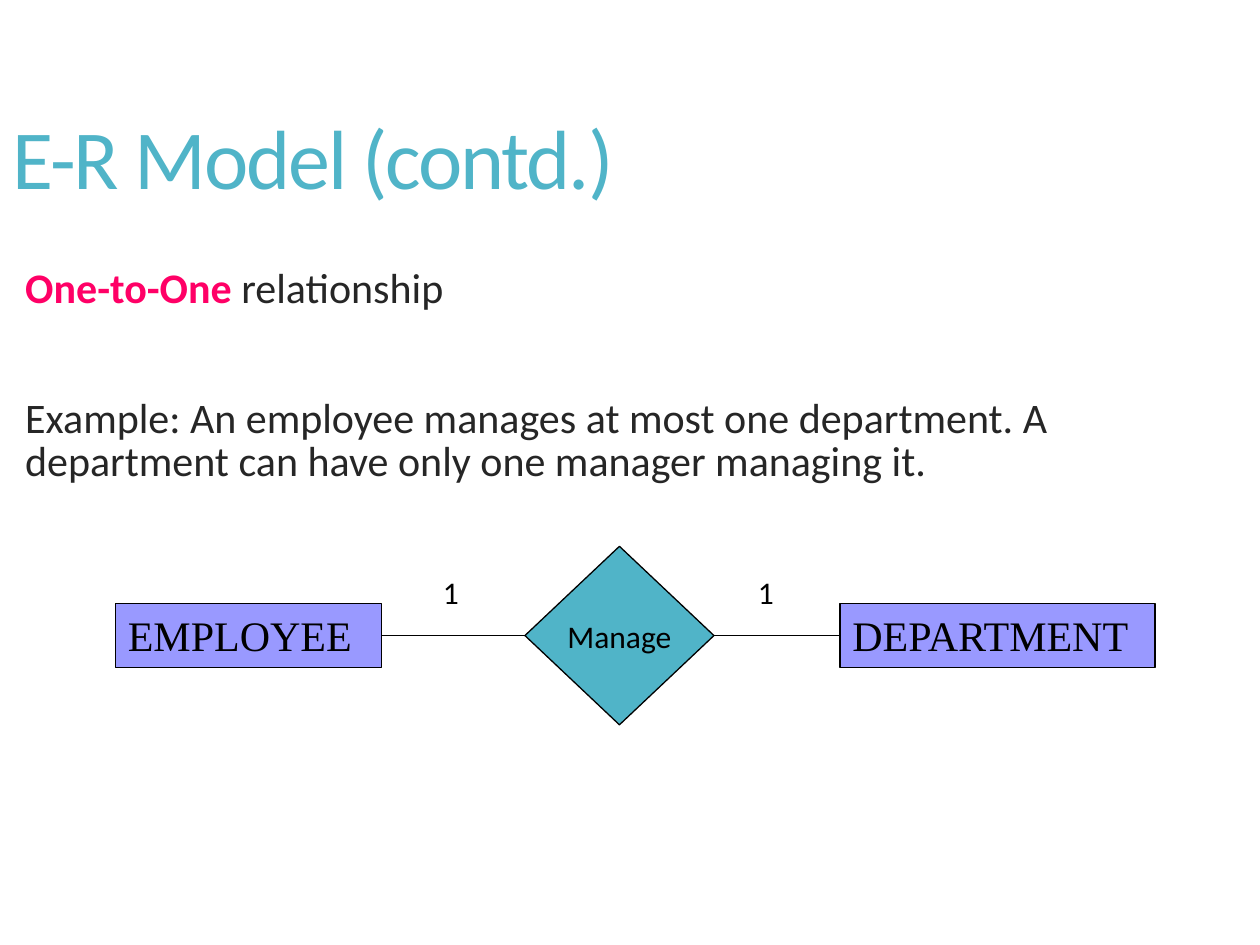
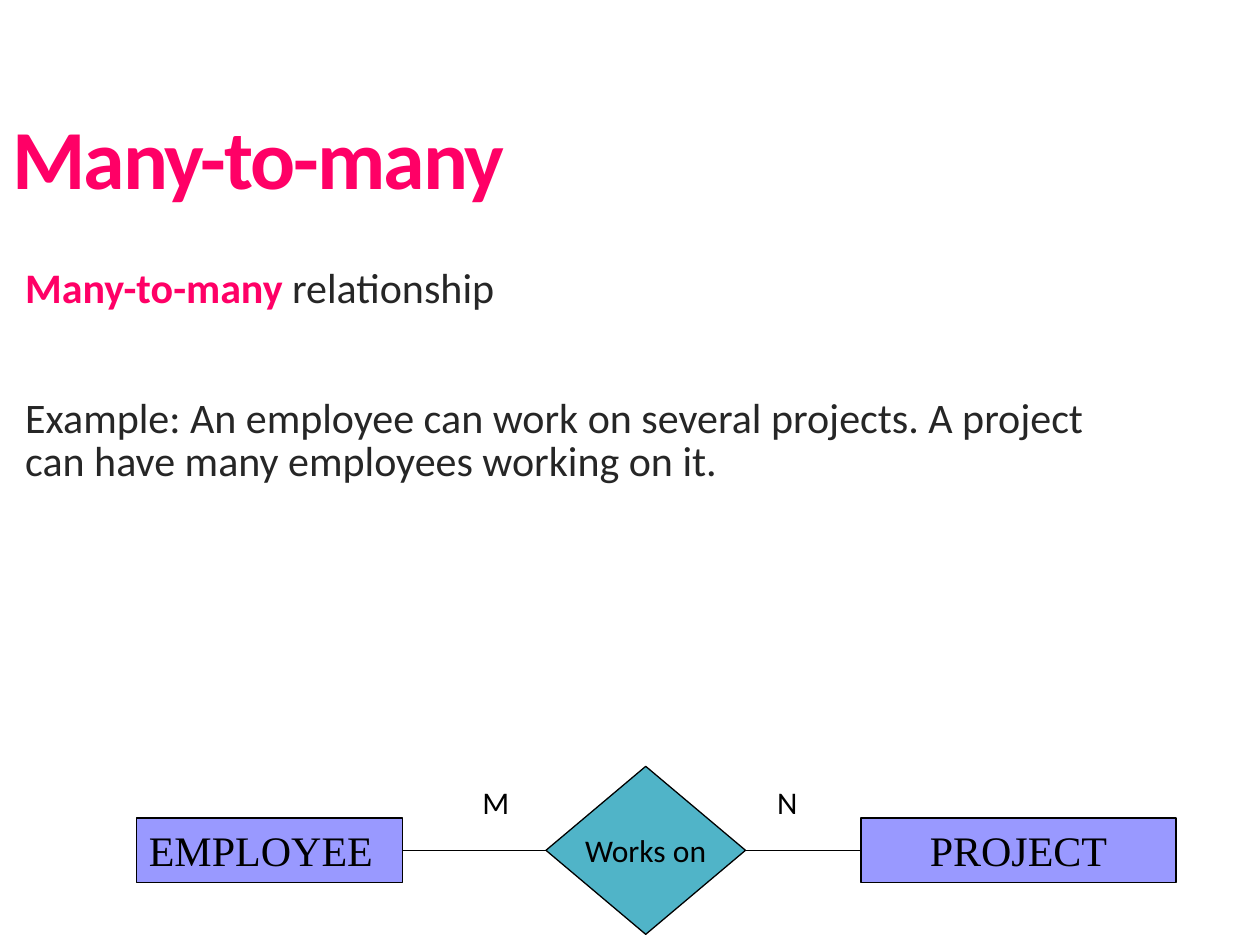
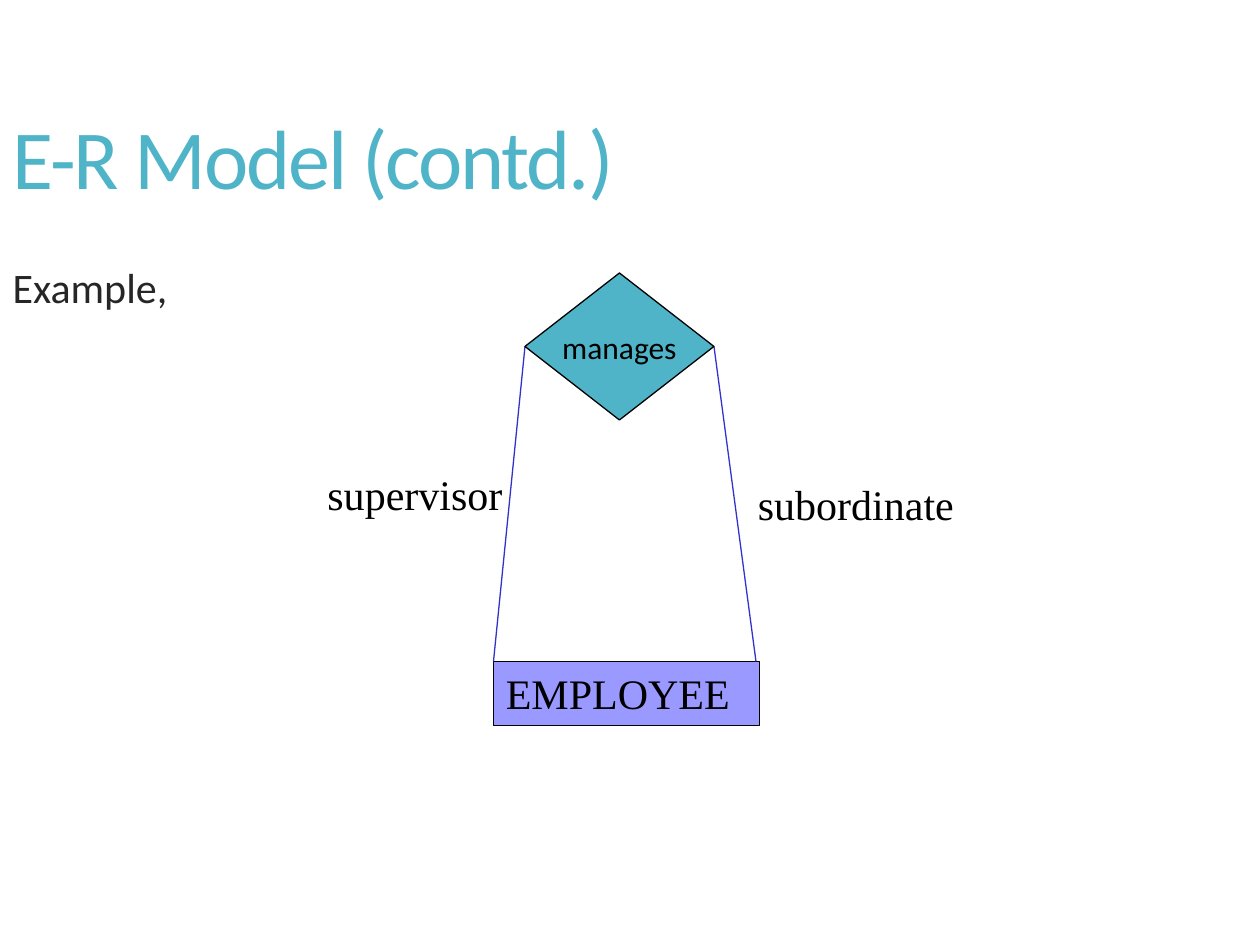
import pptx
import pptx.dml.color
import pptx.enum.shapes
import pptx.enum.text
import pptx.oxml.ns
import pptx.util
from lxml import etree

Pt = pptx.util.Pt
Shape = pptx.enum.shapes.MSO_SHAPE
Align = pptx.enum.text.PP_ALIGN
Anchor = pptx.enum.text.MSO_ANCHOR
AutoSize = pptx.enum.text.MSO_AUTO_SIZE

TEAL, PINK, LILAC = "50B4C8", "FF0066", "9999FF"
BLACK, BLUE, BODY_GREY = "000000", "3333CC", "262626"
SANS, SERIF = "Calibri", "Times New Roman"
TITLE_BOX = (0, 48, 648, 90)
BODY_BOX = (0, 150, 648, 333)
ENTITY_WIDTH, ENTITY_HEIGHT = 152, 36.8
INDENT = 7.2


def color(hex_string):
    return pptx.dml.color.RGBColor.from_string(hex_string)


def add_run(paragraph, text, *, size=24, font=SANS, fill=BLACK, bold=False, spacing=None):
    run = paragraph.add_run()
    run.text = text
    run.font.size = Pt(size)
    run.font.name = font
    run.font.bold = bold
    run.font.color.rgb = color(fill)
    if spacing is not None:
        run._r.get_or_add_rPr().set("spc", str(round(spacing * 100)))


def place(shape, box):
    shape.left, shape.top, shape.width, shape.height = map(Pt, box)


def add_title(slide, text, **text_format):
    title = slide.shapes.title
    place(title, TITLE_BOX)
    title.text_frame.vertical_anchor = Anchor.MIDDLE
    title.text_frame.auto_size = AutoSize.NONE
    paragraph = title.text_frame.paragraphs[0]
    paragraph.alignment = Align.LEFT
    paragraph.line_spacing = 0.9
    add_run(paragraph, text, size=48, spacing=-1.2, **text_format)


def add_body(slide, paragraphs, first_indent=0):
    """Fill the body; each paragraph is a list of (text, format) runs."""
    body = slide.placeholders[1]
    place(body, BODY_BOX)
    frame = body.text_frame
    frame.auto_size = AutoSize.NONE
    for index, runs in enumerate(paragraphs):
        paragraph = frame.add_paragraph() if index else frame.paragraphs[0]
        properties = paragraph._p.get_or_add_pPr()
        properties.set("marL", str(Pt(INDENT)))
        properties.set("indent", str(Pt(first_indent)))
        etree.SubElement(properties, pptx.oxml.ns.qn("a:buNone"))
        paragraph.line_spacing = 0.85
        paragraph.space_before = Pt(50 if index else 0)
        for text, text_format in runs:
            add_run(paragraph, text, **{"fill": BODY_GREY, **text_format})


def add_node(slide, kind, box, text, fill, *, align, anchor, wrap, **text_format):
    node = slide.shapes.add_shape(kind, *map(Pt, box))
    node.shadow.inherit = False
    node.fill.solid()
    node.fill.fore_color.rgb = color(fill)
    node.line.color.rgb = color(BLACK)
    node.line.width = Pt(0.75)
    frame = node.text_frame
    frame.word_wrap = wrap
    frame.vertical_anchor = anchor
    frame.paragraphs[0].alignment = align
    add_run(frame.paragraphs[0], text, **text_format)
    return node


def add_entity(slide, left, top, text, width=ENTITY_WIDTH, align=Align.LEFT):
    return add_node(slide, Shape.RECTANGLE, (left, top, width, ENTITY_HEIGHT), text, LILAC,
                    align=align, anchor=Anchor.TOP, wrap=True, font=SERIF)


def add_diamond(slide, box, text):
    return add_node(slide, Shape.DIAMOND, box, text, TEAL, align=Align.CENTER,
                    anchor=Anchor.MIDDLE, wrap=False, size=18)


def add_label(slide, box, text, **text_format):
    label = slide.shapes.add_textbox(*map(Pt, box))
    label.text_frame.word_wrap = False
    label.text_frame.auto_size = AutoSize.SHAPE_TO_FIT_TEXT
    add_run(label.text_frame.paragraphs[0], text, **text_format)


def add_line(slide, start, end, stroke=BLACK):
    line = slide.shapes.add_connector(pptx.enum.shapes.MSO_CONNECTOR.STRAIGHT,
                                      *map(Pt, (*start, *end)))
    line.line.color.rgb = color(stroke)
    line.line.width = Pt(0.75)
    etree.SubElement(line._element.spPr, pptx.oxml.ns.qn("a:effectLst"))
    return line


def add_binary_relationship(slide, left, top, *, target, verb, diamond_size, labels,
                            label_top, target_align=Align.LEFT):
    """Draw EMPLOYEE - verb - target; labels are (offset, width, text)."""
    width, height = diamond_size
    source = add_entity(slide, left, top, "EMPLOYEE")
    destination = add_entity(slide, left + 414, top, target, width=180, align=target_align)
    diamond_top = top + (ENTITY_HEIGHT - height) / 2
    diamond = add_diamond(slide, (left + 234, diamond_top, width, height), verb)
    for entity, entity_site, diamond_site in ((source, 3, 1), (destination, 1, 3)):
        line = add_line(slide, (left, top), (left, top))
        line.begin_connect(entity, entity_site)
        line.end_connect(diamond, diamond_site)
    for offset, label_width, text in labels:
        add_label(slide, (left + offset, top + label_top, label_width, 31), text, size=18)


def add_recursive_relationship(slide, left, top):
    diamond_left, diamond_right, diamond_middle = left + 120, left + 228, top + 42
    entity_left, entity_top = left + 102, top + 222
    add_entity(slide, entity_left, entity_top, "EMPLOYEE")
    add_line(slide, (entity_left, entity_top), (diamond_left, diamond_middle), BLUE)
    add_line(slide, (diamond_right, diamond_middle), (entity_left + 150, entity_top), BLUE)
    add_label(slide, (left, top + 108, 114.5, 36), "supervisor", font=SERIF)
    add_label(slide, (left + 246, top + 114, 126.7, 36), "subordinate", font=SERIF)
    add_diamond(slide, (diamond_left, top, 108, 84), "manages")


def relationship_text(name, example):
    return [[(name, {"fill": PINK, "bold": True}), (" relationship", {})], [(example, {})]]


def main():
    presentation = pptx.Presentation()
    presentation.slide_width, presentation.slide_height = Pt(720), Pt(540)
    layout = presentation.slide_layouts[1]

    one_to_one = presentation.slides.add_slide(layout)
    add_title(one_to_one, "E-R Model (contd.)", fill=TEAL)
    add_body(one_to_one, relationship_text(
        "One-to-One", "Example: An employee manages at most one department. "
        "A department can have only one manager managing it."))
    add_binary_relationship(one_to_one, 66, 344.8, target="DEPARTMENT", verb="Manage",
                            diamond_size=(108, 102), label_top=-20.8,
                            labels=[(180, 26, "1"), (360, 26, "1")])

    many_to_many = presentation.slides.add_slide(layout)
    add_title(many_to_many, "Many-to-many", fill=PINK, bold=True)
    add_body(many_to_many, relationship_text(
        "Many-to-many", "Example: An employee can work on several projects. "
        "A project can have many employees working on it."))
    add_binary_relationship(many_to_many, 78, 467.5, target="PROJECT", verb="Works on",
                            diamond_size=(114, 96), label_top=-23.3,
                            labels=[(190.6, 31, "M"), (359, 29, "N")],
                            target_align=Align.CENTER)

    recursive = presentation.slides.add_slide(layout)
    add_title(recursive, "E-R Model (contd.)", fill=TEAL)
    add_body(recursive, [[("Example,", {})]], first_indent=-INDENT)
    add_recursive_relationship(recursive, 180, 156)

    presentation.save("out.pptx")


if __name__ == "__main__":
    main()
